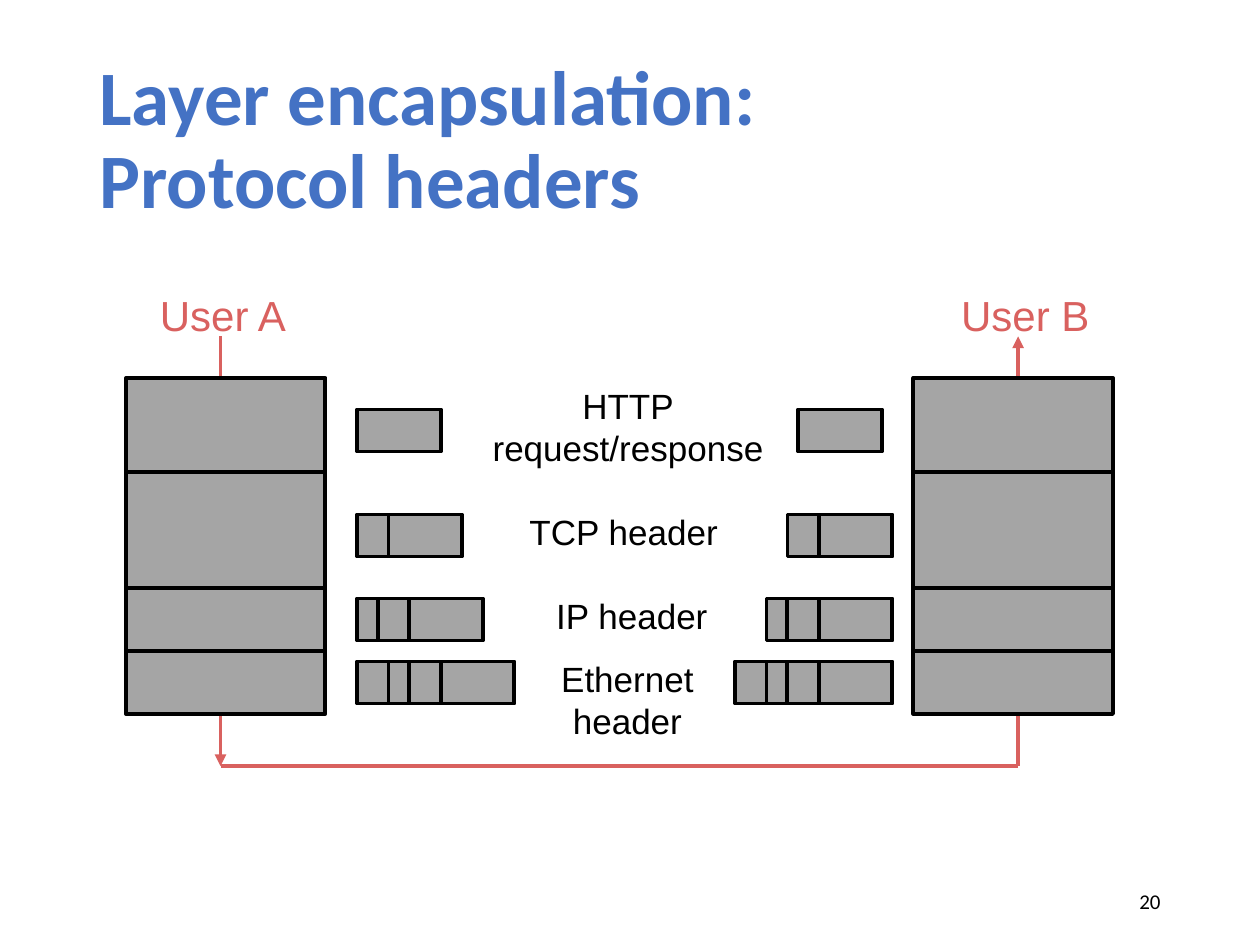
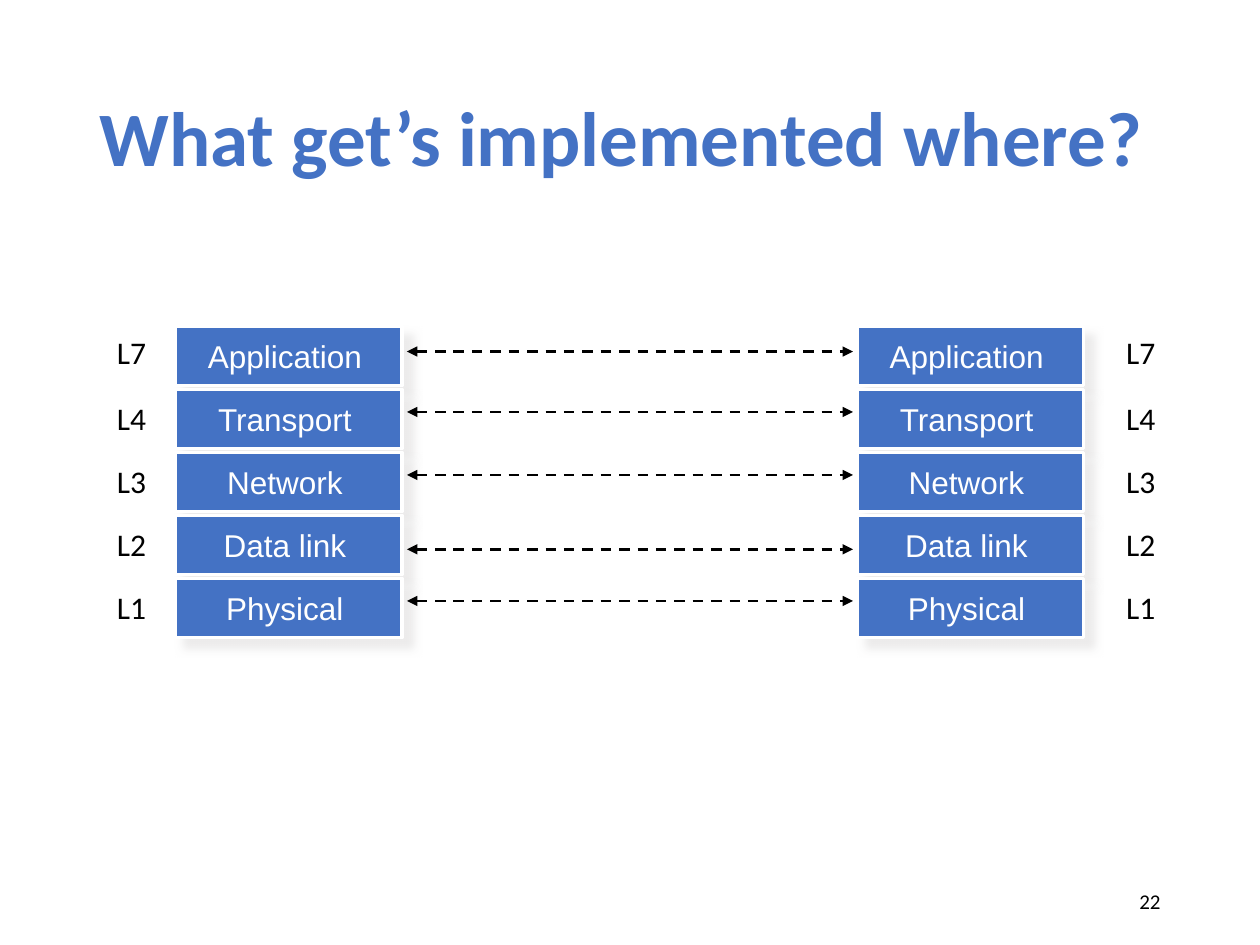
from lxml import etree
from pptx import Presentation
from pptx.dml.color import RGBColor
from pptx.enum.dml import MSO_LINE
from pptx.enum.shapes import MSO_CONNECTOR, MSO_SHAPE
from pptx.enum.text import MSO_ANCHOR, MSO_AUTO_SIZE, PP_ALIGN
from pptx.oxml import parse_xml
from pptx.oxml.ns import nsdecls, qn
from pptx.util import Inches, Pt

COLORS = {"blue": "4472C4", "red": "D9615F", "gray": "A5A5A5",
          "black": "000000", "white": "FFFFFF", "shade": "E7E6E6"}

TITLES = {20: "Layer encapsulation:\vProtocol headers",
          22: "What get’s implemented where?"}

UNIT = 1 / 12
STACK_ROWS = [(36, 9), (45, 11), (56, 6), (62, 6)]
STACK_COLS = [12, 87]
STACK_WIDTH, PACKET_HEIGHT = 19, 4
# fields are (offset, width) in grid units
PACKETS = [
    {"row": 39, "cols": (34, 76), "fields": [(0, 8)]},
    {"row": 49, "cols": (34, 75), "fields": [(0, 3), (2, 8)]},
    {"row": 57, "cols": (34, 73), "fields": [(0, 2), (1, 4), (4, 8)]},
    {"row": 63, "cols": (34, 70), "fields": [(0, 3), (1, 4), (4, 4), (7, 8)]},
]
HEADER_LABELS = [
    ("HTTP\nrequest/response", (3.8, 3, 2.37, 0.77)),
    ("TCP header", (4.07, 4, 1.76, 0.44)),
    ("IP header", (4.13, 4.67, 1.77, 0.44)),
    ("Ethernet\nheader", (4.35, 5.17, 1.26, 0.77)),
]
USERS = [("User A", (1.17, 2.25, 1.21, 0.51)), ("User B", (7.53, 2.25, 1.23, 0.51))]
WIRE_LEFT, WIRE_RIGHT, WIRE_TOP, WIRE_BOTTOM = 1.75, 8.08, 2.67, 6.08

LAYERS = [
    ("L7", "Application", 1.69, 2.79),
    ("L4", "Transport", 1.45, 3.27),
    ("L3", "Network", 1.27, 3.77),
    ("L2", "Data link", 1.33, 4.36),
    ("L1", "Physical", 1.3, 4.77),
]
LAYER_TOP, LAYER_STEP, LAYER_WIDTH, LAYER_HEIGHT = 2.59, 0.5, 1.8, 0.47
HOSTS = [(1.39, 0.83), (6.8, 8.84)]


def rgb(name):
    return RGBColor.from_string(COLORS[name])


def write(sp, text, size, color, font="Arial", align=PP_ALIGN.LEFT, anchor=MSO_ANCHOR.TOP,
          wrap=False, bold=False, spacing=None, insets=(0.1, 0.05, 0.1, 0.05)):
    tf = sp.text_frame
    tf.text = text
    tf.word_wrap = wrap
    tf.auto_size = MSO_AUTO_SIZE.NONE if wrap else MSO_AUTO_SIZE.SHAPE_TO_FIT_TEXT
    tf.vertical_anchor = anchor
    tf.margin_left, tf.margin_top, tf.margin_right, tf.margin_bottom = map(Inches, insets)
    for p in tf.paragraphs:
        p.alignment = align
        p.line_spacing = spacing
        for r in p.runs:
            r.font.size, r.font.name, r.font.bold = Pt(size), font, bold
            r.font.color.rgb = rgb(color)


def add_text(s, box, text, size, color, **style):
    sp = s.shapes.add_textbox(*map(Inches, box))
    write(sp, text, size, color, **style)


def add_rect(shapes, box, fill, line=None, width=2.25):
    sp = shapes.add_shape(MSO_SHAPE.RECTANGLE, *map(Inches, box))
    sp.shadow.inherit = False
    sp.fill.solid()
    sp.fill.fore_color.rgb = rgb(fill)
    if line:
        sp.line.color.rgb = rgb(line)
        sp.line.width = Pt(width)
    else:
        sp.line.fill.background()
    return sp


def add_line(s, start, end, color, width, heads=(), dashed=False):
    line = s.shapes.add_connector(MSO_CONNECTOR.STRAIGHT, *map(Inches, start + end))
    line.line.color.rgb = rgb(color)
    line.line.width = Pt(width)
    if dashed:
        line.line.dash_style = MSO_LINE.DASH
    for head in heads:
        etree.SubElement(line.line._get_or_add_ln(), qn(f"a:{head}"), type="triangle")
    etree.SubElement(line._element.spPr, qn("a:effectLst"))


def add_drop_shadow(sp):
    effects = sp._element.spPr.find(qn("a:effectLst"))
    effects.append(parse_xml(
        f'<a:outerShdw {nsdecls("a")} blurRad="{Pt(5)}" dist="{Pt(8)}" dir="2700000" '
        f'algn="ctr" rotWithShape="0"><a:srgbClr val="{COLORS["shade"]}">'
        '<a:alpha val="75000"/></a:srgbClr></a:outerShdw>'))


def add_slide(prs, number):
    s = prs.slides.add_slide(prs.slide_layouts[6])
    add_text(s, (0.69, 0.4, 8.62, 1.45), TITLES[number], 44, "blue", font="Calibri",
             anchor=MSO_ANCHOR.MIDDLE, wrap=True, bold=True, spacing=0.9)
    add_text(s, (7.06, 6.95, 2.25, 0.4), str(number), 12, "black", font="Calibri",
             align=PP_ALIGN.RIGHT, anchor=MSO_ANCHOR.MIDDLE, wrap=True)
    return s


def add_cell(s, *cell):
    add_rect(s.shapes, [n * UNIT for n in cell], "gray", "black")


def build_encapsulation(prs):
    s = add_slide(prs, 20)
    add_line(s, (WIRE_LEFT, WIRE_TOP), (WIRE_LEFT, WIRE_BOTTOM), "red", 2.25, ["tailEnd"])
    add_line(s, (WIRE_RIGHT, WIRE_BOTTOM), (WIRE_RIGHT, WIRE_TOP), "red", 2.25, ["tailEnd"])
    add_line(s, (WIRE_LEFT, WIRE_BOTTOM), (WIRE_RIGHT, WIRE_BOTTOM), "red", 2.25)
    for col in STACK_COLS:
        for row, height in STACK_ROWS:
            add_cell(s, col, row, STACK_WIDTH, height)
    for packet in PACKETS:
        for col in packet["cols"]:
            for offset, width in reversed(packet["fields"]):
                add_cell(s, col + offset, packet["row"], width, PACKET_HEIGHT)
    for text, box in HEADER_LABELS:
        add_text(s, box, text, 20, "black", align=PP_ALIGN.CENTER)
    for text, box in USERS:
        add_text(s, box, text, 24, "red")


def add_layer(s, left, top, name, name_width):
    group = s.shapes.add_group_shape()
    block = add_rect(group.shapes, (left, top, LAYER_WIDTH, LAYER_HEIGHT), "blue", "white", 2)
    add_drop_shadow(block)
    name_left = left + (LAYER_WIDTH - name_width) / 2
    sp = add_rect(group.shapes, (name_left, top + 0.04, name_width, 0.39), "blue")
    write(sp, name, 18, "white", align=PP_ALIGN.CENTER, anchor=MSO_ANCHOR.MIDDLE,
          insets=(0.04, 0.04, 0.1, 0.04))


def build_layers(prs):
    s = add_slide(prs, 22)
    for left, level_left in HOSTS:
        for i, (level, name, name_width, _) in enumerate(LAYERS):
            top = LAYER_TOP + i * LAYER_STEP
            add_layer(s, left, top, name, name_width)
            level_top = top + (0.03 if i else 0)
            sp = add_rect(s.shapes, (level_left, level_top, 0.44, 0.4), "white")
            write(sp, level, 18, "black", font="Calibri")
    for *_, y in LAYERS:
        add_line(s, (3.23, y), (6.77, y), "black", 1.5, ["headEnd", "tailEnd"], dashed=True)


def main():
    prs = Presentation()
    prs.slide_width, prs.slide_height = Inches(10), Inches(7.5)
    build_encapsulation(prs)
    build_layers(prs)
    prs.save("out.pptx")


if __name__ == "__main__":
    main()
